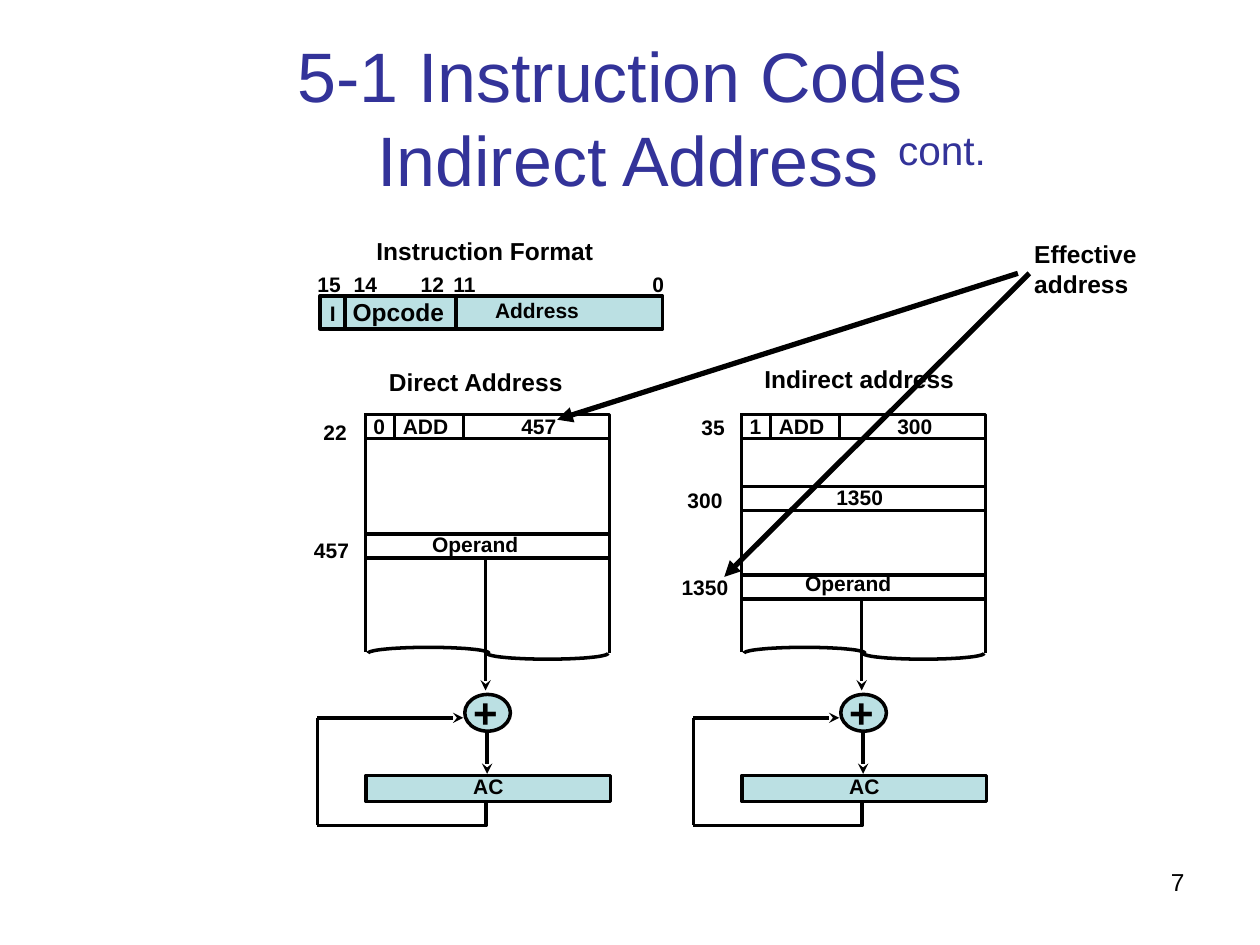
from math import cos, pi, sin

from lxml import etree
from pptx import Presentation
from pptx import util as u
from pptx.dml.color import RGBColor
from pptx.enum import shapes as sh, text as tx
from pptx.oxml import ns

BLACK = RGBColor(0, 0, 0)
NAVY = RGBColor(0x33, 0x33, 0x99)
TEAL = RGBColor(0xBB, 0xE0, 0xE3)
FONT = "Arial"
WIDE = 4.95
ROW = 0.48


def style(par, size, color=BLACK, bold=False):
    par.font.name = FONT
    par.font.size = u.Pt(size)
    par.font.color.rgb = color
    par.font.bold = bold


def label(slide, words, x, y, w, h=0.71, size=12):
    box = slide.shapes.add_textbox(u.Cm(x), u.Cm(y), u.Cm(w), u.Cm(h))
    box.text_frame.word_wrap = False
    box.text_frame.auto_size = tx.MSO_AUTO_SIZE.SHAPE_TO_FIT_TEXT
    par = box.text_frame.paragraphs[0]
    par.text = words
    par.line_spacing = 0.9
    style(par, size, bold=True)
    return box


def line(slide, x1, y1, x2, y2, width=2, head=None):
    wire = slide.shapes.add_connector(
        sh.MSO_CONNECTOR.STRAIGHT, u.Cm(x1), u.Cm(y1), u.Cm(x2), u.Cm(y2))
    wire.line.color.rgb = BLACK
    wire.line.width = u.Pt(width)
    if head:
        etree.SubElement(wire.line._get_or_add_ln(), ns.qn("a:tailEnd"), type=head)
    etree.SubElement(wire._element.spPr, ns.qn("a:effectLst"))


def trace(slide, points):
    first, *rest = [(u.Cm(x), u.Cm(y)) for x, y in points]
    form = slide.shapes.build_freeform(*first)
    form.add_line_segments(rest, close=False)
    curve = form.convert_to_shape()
    curve.fill.background()
    curve.line.color.rgb = BLACK
    curve.line.width = u.Pt(2)
    curve.shadow.inherit = False


def block(slide, kind, x, y, w, h):
    part = slide.shapes.add_shape(kind, u.Cm(x), u.Cm(y), u.Cm(w), u.Cm(h))
    part.fill.solid()
    part.fill.fore_color.rgb = TEAL
    part.line.color.rgb = BLACK
    part.line.width = u.Pt(2)
    part.shadow.inherit = False


def heading(slide, x, y, w, h):
    title = slide.shapes.title
    title.left, title.top, title.width, title.height = map(u.Cm, (x, y, w, h))
    frame = title.text_frame
    frame.auto_size = tx.MSO_AUTO_SIZE.NONE
    frame.vertical_anchor = tx.MSO_ANCHOR.MIDDLE
    par = frame.paragraphs[0]
    par.text = "5-1 Instruction Codes\vIndirect Address "
    run = par.add_run()
    run.text = "cont."
    run.font._element.set("baseline", "30000")
    par.alignment = tx.PP_ALIGN.CENTER
    props = par._p.get_or_add_pPr()
    props.set("marL", str(u.Cm(2.08)))
    props.set("indent", str(u.Cm(-2.08)))
    style(par, 40, NAVY)


def layout(slide, x, y):
    block(slide, sh.MSO_SHAPE.RECTANGLE, x, y, 6.91, 0.66)
    label(slide, "Instruction Format", x + 0.89, y - 1.27, 4.88, 0.79, 14)
    label(slide, "Opcode", x + 0.41, y - 0.03, 2.5, 0.79, 14)
    label(slide, "Address", x + 3.28, y - 0.03, 2.21)
    label(slide, "I", x - 0.05, y + 0.03, 0.61)
    for bit, dx, w in (("15", -0.3, 0.97), ("14", 0.43, 0.97), ("12", 1.78, 0.97),
                       ("11", 2.44, 0.97), ("0", 6.45, 0.74)):
        label(slide, bit, x + dx, y - 0.56, w)
    for dx in (0.51, 2.74):
        line(slide, x + dx, y, x + dx, y + 0.66)


def memory(slide, x, y, fields, rows, names, notes):
    for dy in [0, *rows]:
        line(slide, x, y + dy + ROW, x + WIDE, y + dy + ROW)
    for dy in rows:
        line(slide, x, y + dy, x + WIDE, y + dy)
    for dx in (0.61, 2):
        line(slide, x + dx, y, x + dx, y + ROW)
    for words, dx, w in zip(fields, (-0.06, 0.53, 2.92), (0.74, 1.42, 1.22)):
        label(slide, words, x + dx, y - 0.1, w)
    for words, dx, dy, w in names + notes:
        label(slide, words, x + dx, y + dy, w)
    line(slide, x + 0.03, y, x + 0.03, y + 4.78)
    trace(slide, [(x, y), (x + WIDE, y), (x + WIDE, y + 4.8)])
    for mid, sign in ((1.3, -1), (3.7, 1)):
        trace(slide, [(x + mid - 1.22 * cos(pi * i / 24),
                       y + 4.81 + sign * 0.12 * sin(pi * i / 24)) for i in range(25)])
    line(slide, x + 2.45, y + rows[-1] + ROW, x + 2.45, y + 5.56, head="stealth")


def adder(slide, x, y):
    block(slide, sh.MSO_SHAPE.OVAL, x + 2.03, y, 0.92, 0.74)
    label(slide, "+", x + 1.95, y - 0.18, 0.99, 1.17, 24)
    block(slide, sh.MSO_SHAPE.RECTANGLE, x + 0.04, y + 1.63, 4.93, 0.53)
    label(slide, "AC", x + 1.95, y + 1.52, 1.12)
    trace(slide, [(x + 2.46, y + 2.16), (x + 2.46, y + 2.64), (x - 0.94, y + 2.64)])
    line(slide, x - 0.94, y + 0.47, x - 0.94, y + 2.64)
    line(slide, x - 0.94, y + 0.47, x + 2, y + 0.47, head="stealth")
    line(slide, x + 2.48, y + 0.74, x + 2.48, y + 1.6, head="stealth")


def callout(slide, x, y):
    box = label(slide, "Effective address", x, y, 4.24, 1.45, 14)
    box.text_frame.word_wrap = True
    box.text_frame.paragraphs[0].line_spacing = 1
    line(slide, x + 0.15, y + 0.81, x - 6, y + 6.93, 3, "triangle")
    line(slide, x - 0.08, y + 0.81, x - 9.37, y + 3.76, 3, "triangle")


def number(slide, x, y, w, h):
    box = slide.shapes.add_textbox(u.Cm(x), u.Cm(y), u.Cm(w), u.Cm(h))
    box.text_frame.word_wrap = True
    par = box.text_frame.paragraphs[0]
    par.text = "7"
    par.alignment = tx.PP_ALIGN.RIGHT
    style(par, 14)


def main():
    deck = Presentation()
    deck.slide_width, deck.slide_height = u.Cm(25.4), u.Cm(19.05)
    slide = deck.slides.add_slide(deck.slide_layouts[5])
    heading(slide, 1.27, 0.76, 22.86, 3.18)
    layout(slide, 6.45, 5.97)
    direct, remote, top = 7.34, 14.92, 8.36
    memory(slide, direct, top, ("0", "ADD", "457"), [2.41],
           [("Operand", 1.12, 2.29, 2.24)],
           [("22", -1.07, 0.03, 0.97), ("457", -1.26, 2.41, 1.22)])
    memory(slide, remote, top, ("1", "ADD", "300"), [1.45, 3.23],
           [("1350", 1.69, 1.35, 1.45), ("Operand", 1.06, 3.07, 2.24)],
           [("35", -1.03, -0.08, 0.97), ("300", -1.31, 1.4, 1.22),
            ("1350", -1.43, 3.15, 1.45)])
    for x in (direct, remote):
        adder(slide, x, 14)
    label(slide, "Direct Address", 7.59, 7.34, 4.1, 0.79, 14)
    label(slide, "Indirect address", 15.16, 7.29, 4.5, 0.79, 14)
    callout(slide, 20.6, 4.7)
    number(slide, 18.21, 17.35, 5.92, 1.32)
    deck.save("out.pptx")


if __name__ == "__main__":
    main()
